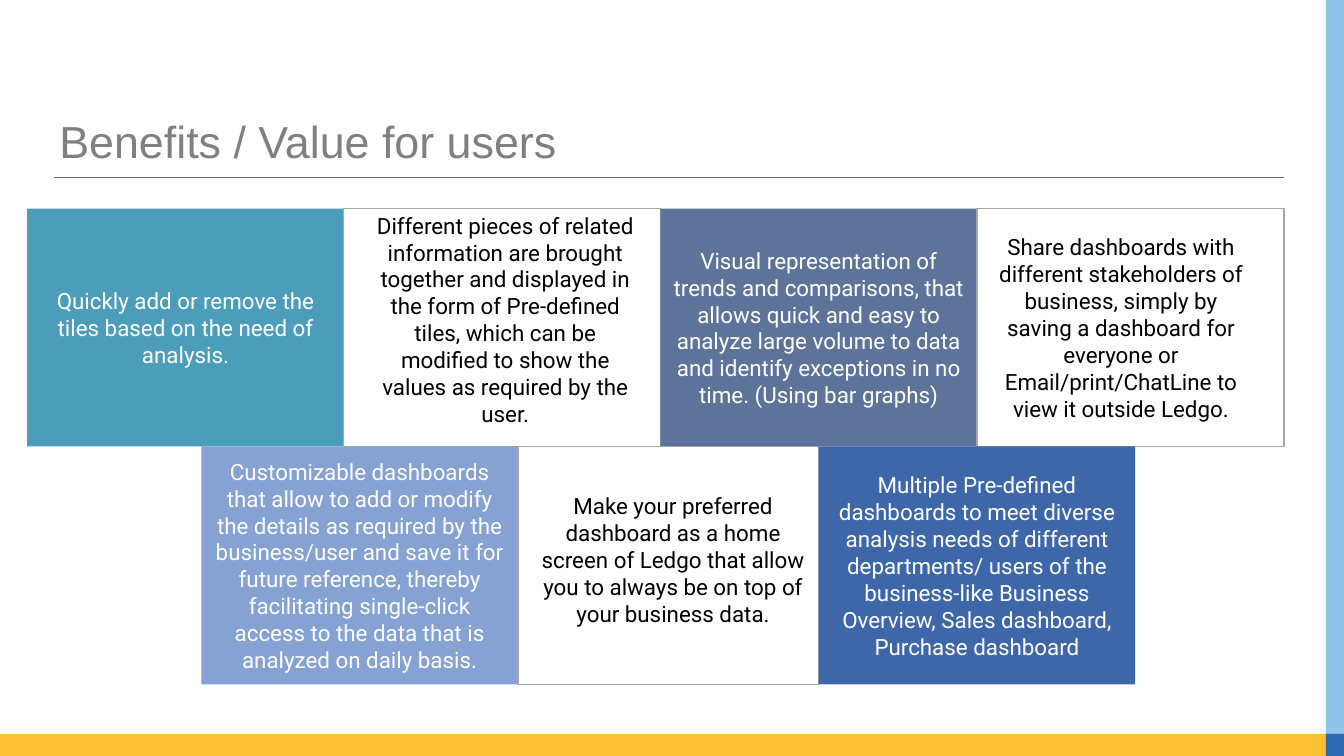
"""Build the slide on benefits and value for users."""
from dataclasses import dataclass
from typing import Optional

import pptx
import pptx.dml.color
import pptx.enum.shapes
import pptx.enum.text
import pptx.util
from lxml import etree
from pptx.dml.color import RGBColor

WHITE = RGBColor(0xFF, 0xFF, 0xFF)
BLACK = RGBColor(0x00, 0x00, 0x00)
TITLE_GREY = RGBColor(0x80, 0x80, 0x80)
RULE_GREY = RGBColor(0x6A, 0x6A, 0x6A)
BORDER_GREY = RGBColor(0xA6, 0xA6, 0xA6)
TEAL = RGBColor(0x4B, 0x9D, 0xB9)
SLATE = RGBColor(0x5D, 0x73, 0x9A)
PERIWINKLE = RGBColor(0x85, 0xA2, 0xD2)
ROYAL = RGBColor(0x3E, 0x67, 0xAA)
AMBER = RGBColor(0xFF, 0xC0, 0x31)
SKY = RGBColor(0x90, 0xC4, 0xE9)
BLUE = RGBColor(0x2F, 0x69, 0xB0)

PAGE_WIDTH, PAGE_HEIGHT = 13.33, 7.5
GRID_LEFT, GRID_TOP = 0.27, 2.07
COLUMN_WIDTH, ROW_HEIGHT = 3.14, 2.36
SIDE_LEFT, FOOT_TOP = 13.15, 7.28
RULE_LEFT, RULE_RIGHT, RULE_TOP = 0.54, 12.73, 1.76


@dataclass(frozen=True)
class Area:
    """A rectangle in inches."""

    left: float
    top: float
    width: float
    height: float

    def lengths(self) -> list[int]:
        """Return the rectangle as slide lengths."""
        return [pptx.util.Inches(side) for side in (self.left, self.top, self.width, self.height)]


@dataclass(frozen=True)
class Cell:
    """A place on the tile grid, in columns and rows."""

    column: float
    row: float
    columns: float = 1
    rows: float = 1

    def area(self) -> Area:
        """Return the area that the cell covers."""
        return Area(GRID_LEFT + self.column * COLUMN_WIDTH, GRID_TOP + self.row * ROW_HEIGHT,
                    self.columns * COLUMN_WIDTH, self.rows * ROW_HEIGHT)


@dataclass(frozen=True)
class Tile:
    """A benefit: filled with its text, or outlined with a caption cell."""

    cell: Cell
    text: str
    fill: Optional[RGBColor] = None
    caption: Optional[Cell] = None


@dataclass(frozen=True)
class Band:
    """A coloured strip at the edge of the slide."""

    area: Area
    fill: RGBColor


BANDS = (
    Band(Area(0, FOOT_TOP, SIDE_LEFT, PAGE_HEIGHT - FOOT_TOP), AMBER),
    Band(Area(SIDE_LEFT, 0, PAGE_WIDTH - SIDE_LEFT, FOOT_TOP), SKY),
    Band(Area(SIDE_LEFT, FOOT_TOP, PAGE_WIDTH - SIDE_LEFT, PAGE_HEIGHT - FOOT_TOP), BLUE),
)

TILES = (
    Tile(Cell(0, 0), "Quickly add or remove the tiles based on the need of analysis.", TEAL),
    Tile(Cell(1, 0),
         "Different pieces of related information are brought together and displayed in the form "
         "of Pre-defined tiles, which can be modified to show the values as required by the user.",
         caption=Cell(1.01, -0.04, 1, 1.01)),
    Tile(Cell(2, 0),
         "Visual representation of trends and comparisons, that allows quick and easy to analyze "
         "large volume to data and identify exceptions in no time. (Using bar graphs)", SLATE),
    Tile(Cell(3, 0, 0.97),
         "Share dashboards with different stakeholders of business, simply by saving a dashboard "
         "for everyone or Email/print/ChatLine to view it outside Ledgo.",
         caption=Cell(2.97, 0.05, 0.97, 0.9)),
    Tile(Cell(0.55, 1),
         "Customizable dashboards that allow to add or modify the details as required by the "
         "business/user and save it for future reference, thereby facilitating single-click "
         "access to the data that is analyzed on daily basis.", PERIWINKLE),
    Tile(Cell(1.55, 1, 0.95),
         "Make your preferred dashboard as a home screen of Ledgo that allow you to always be on "
         "top of your business data.",
         caption=Cell(1.54, 1.14, 1, 0.67)),
    Tile(Cell(2.5, 1),
         "Multiple Pre-defined dashboards to meet diverse analysis needs of different "
         "departments/ users of the business-like Business Overview, Sales dashboard, "
         "Purchase dashboard", ROYAL),
)


def draw_rectangle(page: pptx.slide.Slide, area: Area,
                   fill: Optional[RGBColor]) -> pptx.shapes.autoshape.Shape:
    """Draw a filled rectangle, or a grey outline if there is no fill."""
    box = page.shapes.add_shape(pptx.enum.shapes.MSO_SHAPE.RECTANGLE, *area.lengths())
    box.shadow.inherit = False
    if fill is None:
        box.fill.background()
        box.line.color.rgb = BORDER_GREY
        box.line.width = pptx.util.Pt(1)
    else:
        box.fill.solid()
        box.fill.fore_color.rgb = fill
        box.line.fill.background()
    return box


def write_text(box: pptx.shapes.autoshape.Shape, text: str, font: str, size: float,
               color: RGBColor, align: pptx.enum.text.PP_ALIGN) -> None:
    """Write one wrapped, vertically centred paragraph into a box."""
    frame = box.text_frame
    frame.word_wrap = True
    frame.vertical_anchor = pptx.enum.text.MSO_ANCHOR.MIDDLE
    para = frame.paragraphs[0]
    para.text = text
    para.alignment = align
    para.font.name = font
    para.font.size = pptx.util.Pt(size)
    para.font.color.rgb = color


def draw_tile(page: pptx.slide.Slide, tile: Tile) -> None:
    """Draw a tile and its text."""
    box = draw_rectangle(page, tile.cell.area(), tile.fill)
    if tile.caption:
        box = page.shapes.add_textbox(*tile.caption.area().lengths())
        frame = box.text_frame
        frame.margin_left = frame.margin_right = pptx.util.Inches(0.24)
        frame.margin_top = frame.margin_bottom = pptx.util.Inches(0.12)
    color = BLACK if tile.caption else WHITE
    write_text(box, tile.text, "Roboto", 16, color, pptx.enum.text.PP_ALIGN.CENTER)


def draw_heading(page: pptx.slide.Slide) -> None:
    """Draw the title and the rule below it."""
    title = page.shapes.add_textbox(*Area(0.49, 1.18, 12.2, 0.5).lengths())
    write_text(title, "Benefits / Value for users", "Arial", 32, TITLE_GREY,
               pptx.enum.text.PP_ALIGN.LEFT)
    title.text_frame.paragraphs[0].line_spacing = 0.9
    ends = [pptx.util.Inches(end) for end in (RULE_LEFT, RULE_TOP, RULE_RIGHT, RULE_TOP)]
    rule = page.shapes.add_connector(pptx.enum.shapes.MSO_CONNECTOR.STRAIGHT, *ends)
    rule.line.color.rgb = RULE_GREY
    rule.line.width = pptx.util.Pt(0.82)
    etree.SubElement(rule.element.spPr, pptx.oxml.ns.qn("a:effectLst"))


def main() -> None:
    """Build and save the deck."""
    deck = pptx.Presentation()
    deck.slide_width = pptx.util.Inches(PAGE_WIDTH)
    deck.slide_height = pptx.util.Inches(PAGE_HEIGHT)
    page = deck.slides.add_slide(deck.slide_layouts[6])
    for band in BANDS:
        draw_rectangle(page, band.area, band.fill)
    draw_heading(page)
    for tile in TILES:
        draw_tile(page, tile)
    deck.save("out.pptx")


if __name__ == "__main__":
    main()
